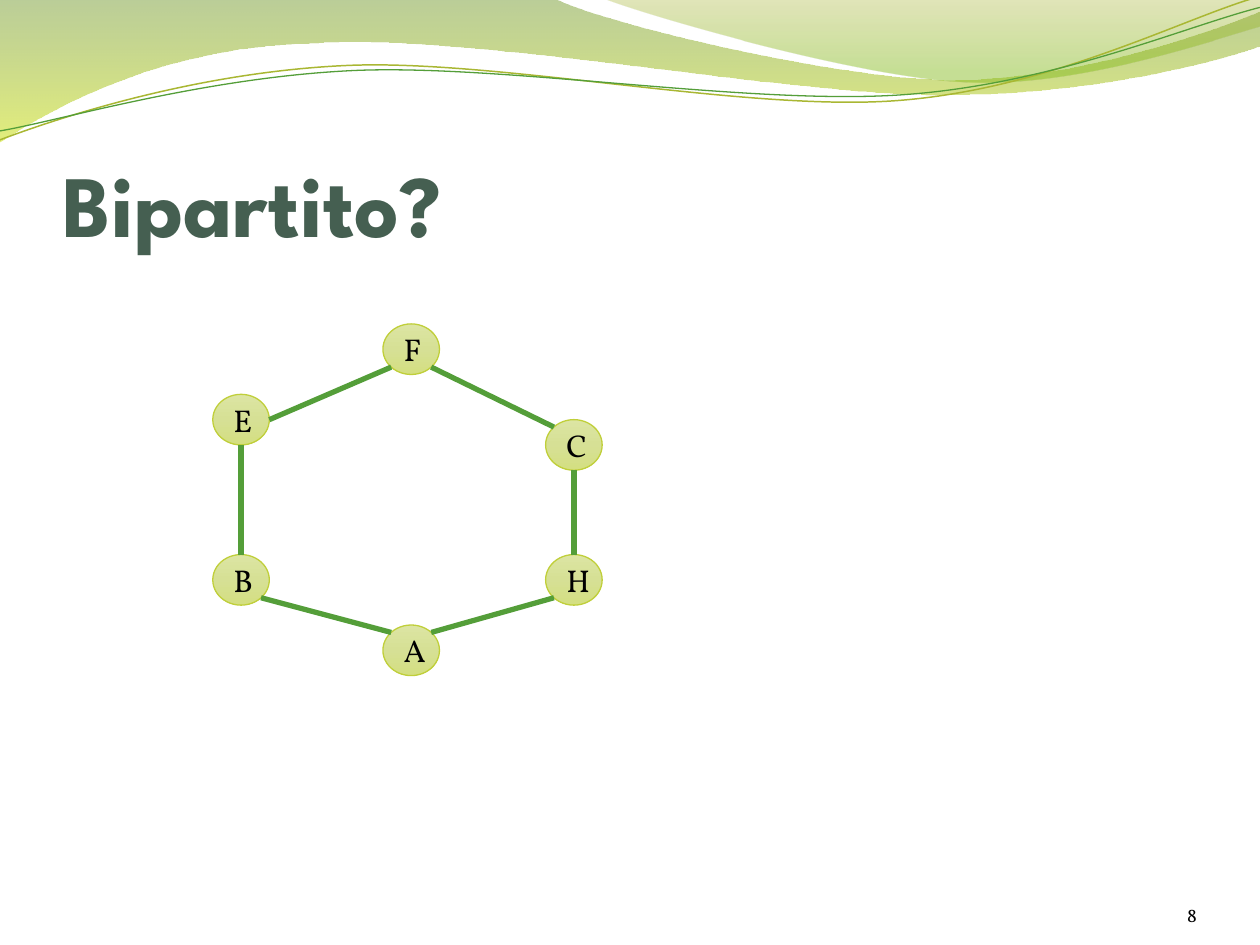
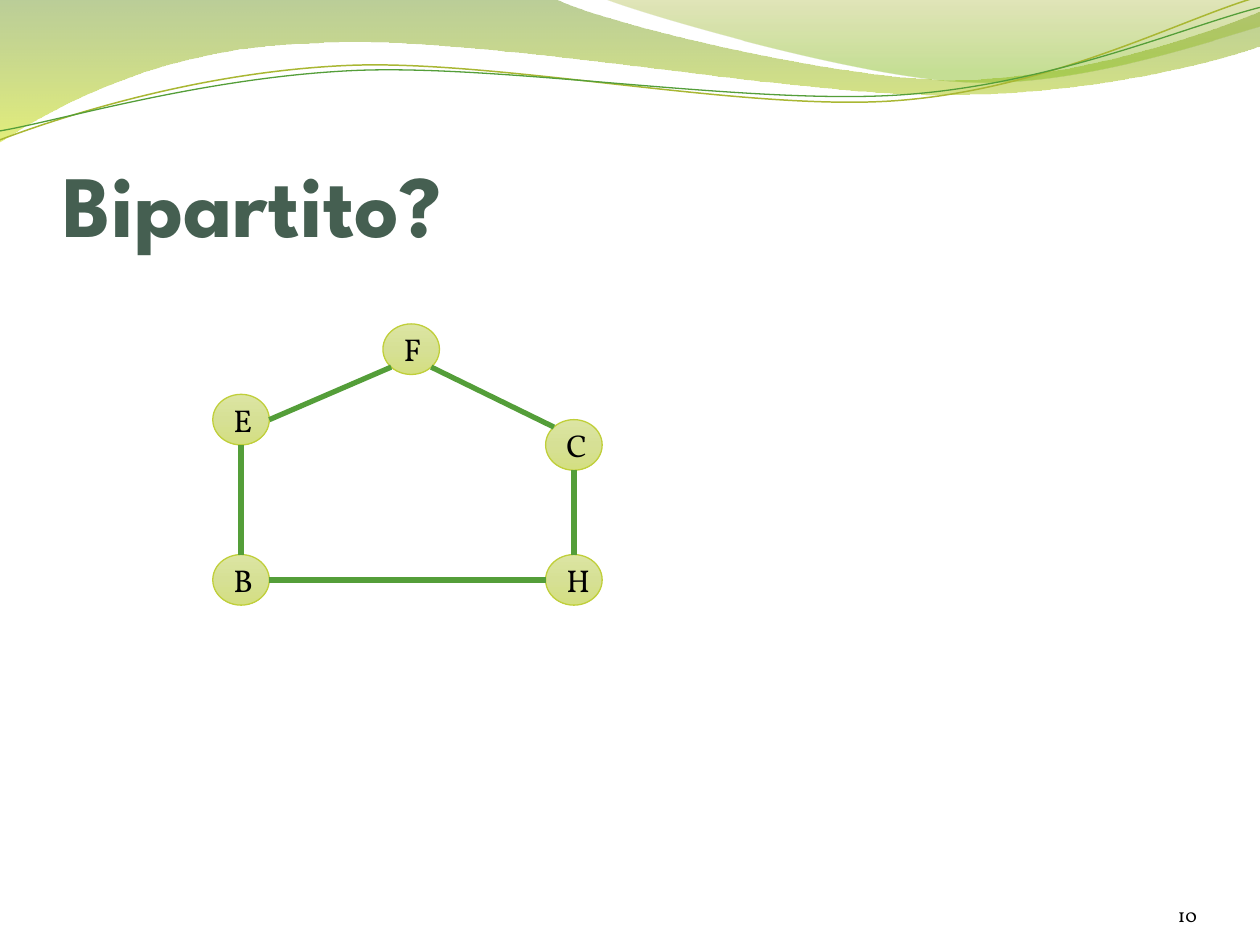
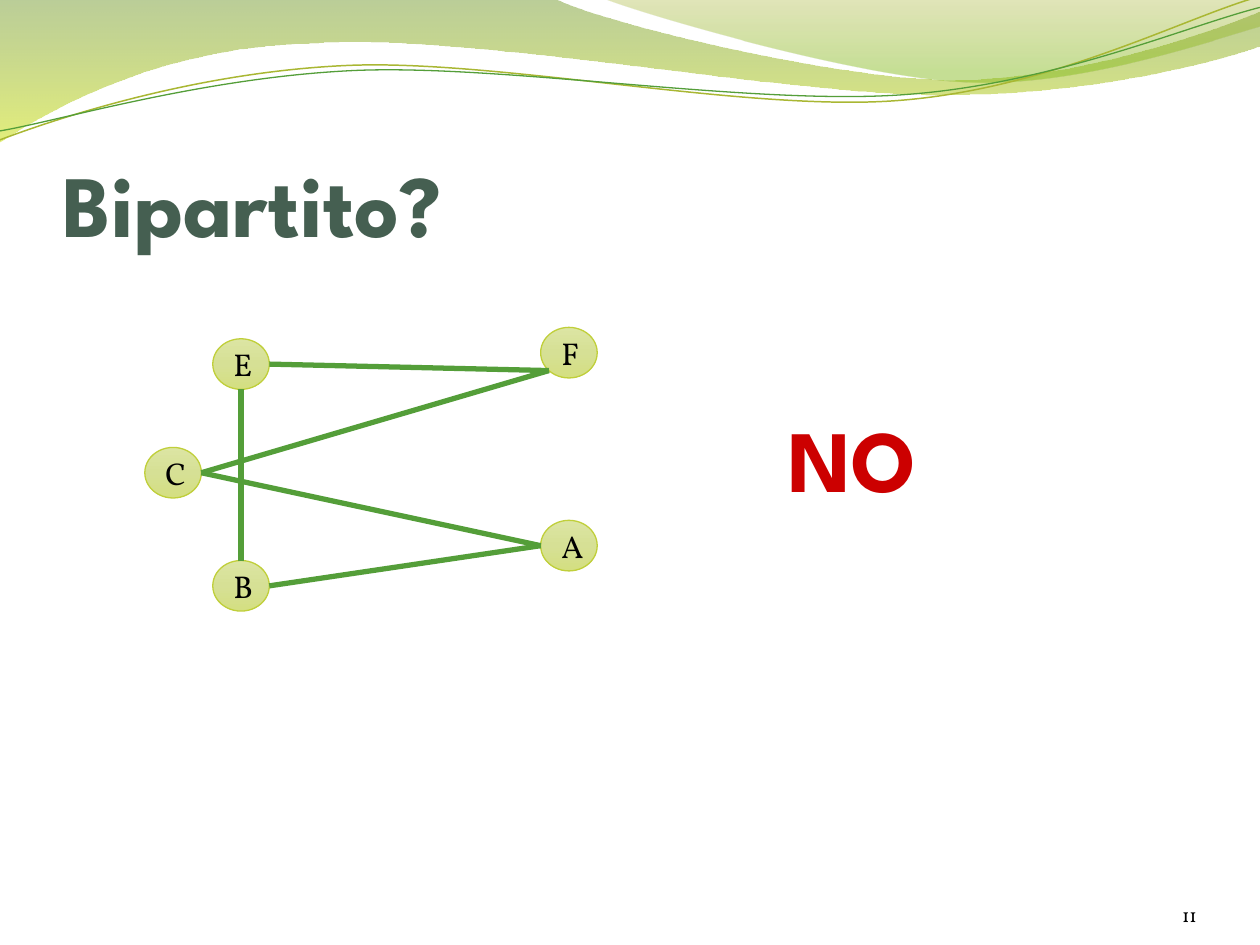
from dataclasses import dataclass
from enum import IntEnum
from math import cos, radians, sin
from typing import NamedTuple

from lxml.etree import SubElement
from pptx import Presentation
from pptx.dml.color import RGBColor
from pptx.enum.shapes import MSO_CONNECTOR as Connector, MSO_SHAPE as Preset
from pptx.enum.text import MSO_ANCHOR as Anchor, PP_ALIGN as Align
from pptx.oxml.ns import qn
from pptx.util import Cm, Pt


class Stop(NamedTuple):
    position: int  # percent
    color: str
    opacity: int = 100


@dataclass(frozen=True)
class Theme:
    title_font: str = "League Spartan"
    body_font: str = "Vollkorn"
    title_size: int = 50
    node_size: int = 18
    number_size: int = 11
    title: str = "455F51"
    verdict: str = "CC0000"
    ink: str = "000000"
    edge: str = "549E39"
    node_line: str = "C0CF3A"
    olive: str = "A9B733"
    node_fill: tuple[Stop, ...] = (Stop(0, "DCE5A3"), Stop(50, "D6E095"), Stop(100, "D4DF81"))
    wide_wave: tuple[Stop, ...] = (Stop(0, "69921C", 45), Stop(100, "CCE10F", 55))
    right_wave: tuple[Stop, ...] = (Stop(0, "9BAA1A", 30), Stop(80, "81BA16", 45))


THEME = Theme()
NODE_WIDTH, NODE_HEIGHT = 1.14, 1.02


class Site(IntEnum):
    """Connection sites of an ellipse, counter-clockwise from the top."""
    TOP = 0
    TOP_LEFT = 1
    LEFT = 2
    BOTTOM_LEFT = 3
    BOTTOM = 4
    BOTTOM_RIGHT = 5
    RIGHT = 6
    TOP_RIGHT = 7


class Box(NamedTuple):
    left: float
    top: float
    width: float
    height: float

    def lengths(self) -> list[Cm]:
        return [Cm(value) for value in self]


class Node(NamedTuple):
    letter: str
    left: float
    top: float


class Edge(NamedTuple):
    start: str
    start_site: Site
    end: str
    end_site: Site


@dataclass(frozen=True)
class Wave:
    """Segments hold one point for a line, three for a cubic curve."""
    start: tuple[float, float]
    segments: tuple
    fill: tuple[Stop, ...] = ()
    line: str = ""
    line_width: float = 0


@dataclass(frozen=True)
class GraphSlide:
    number: int
    nodes: tuple[Node, ...]
    edges: tuple[Edge, ...]
    verdict: str = ""


TITLE_BOX = Box(1.27, 1.96, 22.86, 3.18)
VERDICT_BOX = Box(15.9, 7.11, 8.64, 3.18)
NUMBER_BOX = Box(22.02, 17.65, 2.11, 1.02)

# Header waves
WAVES = (
    Wave((0, 0), (
        ((11.18, -0.03),),
        ((12.07, 0.43), (16.84, 1.6), (19.25, 1.6)),
        ((21.67, 1.6), (24.33, 0.66), (25.4, 0.23)),
        ((25.43, 0.91),),
        ((24.97, 1.12), (22.07, 1.93), (18.95, 1.91)),
        ((15.8, 1.91), (9.68, 0.71), (6.53, 0.86)),
        ((3.28, 0.91), (1.17, 2.11), (-0.03, 2.87)),
    ), fill=THEME.wide_wave),
    Wave((12.17, -0.03), (
        ((12.93, 0.28), (17.32, 1.57), (19.51, 1.65)),
        ((21.72, 1.75), (24.41, 0.81), (25.4, 0.53)),
        ((25.4, 0),),
    ), fill=THEME.right_wave),
    Wave((0, 2.82), (
        ((1.22, 2.36), (3.99, 1.45), (7.01, 1.32)),
        ((10.03, 1.19), (15.04, 2.26), (18.08, 2.03)),
        ((21.16, 1.8), (23.83, 0.38), (25.32, -0.05)),
    ), line=THEME.olive, line_width=0.85),
    Wave((0, 2.64), (
        ((1.19, 2.44), (4.14, 1.55), (7.19, 1.42)),
        ((10.21, 1.3), (15.16, 2.13), (18.21, 1.91)),
        ((21.23, 1.7), (23.9, 0.53), (25.4, 0.15)),
    ), line=THEME.edge, line_width=0.75),
)

# Graphs
PENTAGON_NODES = (
    Node("H", 11, 11.18),
    Node("F", 7.72, 6.53),
    Node("B", 4.29, 11.18),
    Node("E", 4.29, 7.95),
    Node("C", 11, 8.46),
)
EB_EDGE = Edge("E", Site.BOTTOM, "B", Site.TOP)
UPPER_EDGES = (
    Edge("C", Site.TOP_LEFT, "F", Site.BOTTOM_RIGHT),
    Edge("H", Site.TOP, "C", Site.BOTTOM),
    Edge("F", Site.BOTTOM_LEFT, "E", Site.RIGHT),
    EB_EDGE,
)
SLIDES = (
    GraphSlide(8, (*PENTAGON_NODES, Node("A", 7.72, 12.6)), (
        *UPPER_EDGES,
        Edge("A", Site.TOP_RIGHT, "H", Site.BOTTOM_LEFT),
        Edge("B", Site.BOTTOM_RIGHT, "A", Site.TOP_LEFT),
    )),
    GraphSlide(10, PENTAGON_NODES, (
        *UPPER_EDGES,
        Edge("B", Site.RIGHT, "H", Site.LEFT),
    )),
    GraphSlide(11, (
        Node("A", 10.9, 10.49),
        Node("F", 10.9, 6.6),
        Node("B", 4.29, 11.3),
        Node("E", 4.29, 6.83),
        Node("C", 2.92, 9.02),
    ), (
        Edge("C", Site.RIGHT, "F", Site.BOTTOM_LEFT),
        Edge("A", Site.LEFT, "C", Site.RIGHT),
        Edge("F", Site.BOTTOM_LEFT, "E", Site.RIGHT),
        EB_EDGE,
        Edge("B", Site.RIGHT, "A", Site.LEFT),
    ), verdict="NO"),
)


# Drawing helpers
def rgb(color: str) -> RGBColor:
    return RGBColor.from_string(color)


def fill_downwards(shape, stops: tuple[Stop, ...]) -> None:
    shape.fill.gradient()
    shape.fill.gradient_angle = 270
    stop_list = shape.element.spPr.find(qn("a:gradFill")).find(qn("a:gsLst"))
    stop_list.clear()
    for stop in stops:
        entry = SubElement(stop_list, qn("a:gs"), pos=str(stop.position * 1000))
        color = SubElement(entry, qn("a:srgbClr"), val=stop.color)
        if stop.opacity < 100:
            SubElement(color, qn("a:alpha"), val=str(stop.opacity * 1000))


def set_line(shape, color: str, width: float) -> None:
    shape.line.color.rgb = rgb(color)
    shape.line.width = Pt(width)


def write(paragraph, text: str, font: str, size: int, color: str, bold: bool = False) -> None:
    run = paragraph.add_run()
    run.text = text
    run.font.name = font
    run.font.size = Pt(size)
    run.font.bold = bold
    run.font.color.rgb = rgb(color)


def add_text_frame(slide, box: Box, top_inset: float = 0):
    frame = slide.shapes.add_textbox(*box.lengths()).text_frame
    frame.word_wrap = True
    frame.vertical_anchor = Anchor.BOTTOM
    frame.margin_left = frame.margin_right = frame.margin_bottom = 0
    frame.margin_top = Cm(top_inset)
    return frame


def add_heading(slide, box: Box, text: str, color: str) -> None:
    paragraph = add_text_frame(slide, box, top_inset=0.13).paragraphs[0]
    write(paragraph, text, THEME.title_font, THEME.title_size, color, bold=True)


def add_number(slide, number: int) -> None:
    paragraph = add_text_frame(slide, NUMBER_BOX).paragraphs[0]
    paragraph.alignment = Align.RIGHT
    write(paragraph, str(number), THEME.body_font, THEME.number_size, THEME.ink)


def curve_segments(freeform, segments: tuple) -> None:
    """Merge the three line steps of every curved segment into one cubic."""
    outline = next(freeform.element.iter(qn("a:path")))
    steps = iter(outline.findall(qn("a:lnTo")))
    for segment in segments:
        group = [next(steps) for _ in segment]
        if len(group) == 3:
            cubic = SubElement(outline, qn("a:cubicBezTo"))
            group[0].addprevious(cubic)
            for step in group:
                cubic.append(step[0])
                outline.remove(step)


def add_wave(slide, wave: Wave):
    builder = slide.shapes.build_freeform(*(Cm(value) for value in wave.start))
    points = [(Cm(x), Cm(y)) for segment in wave.segments for x, y in segment]
    builder.add_line_segments(points, close=bool(wave.fill))
    freeform = builder.convert_to_shape()
    curve_segments(freeform, wave.segments)
    freeform.shadow.inherit = False
    if wave.fill:
        fill_downwards(freeform, wave.fill)
        freeform.line.fill.background()
    else:
        freeform.fill.background()
        set_line(freeform, wave.line, wave.line_width)
    return freeform


def move_waves_to_layout(slide, layout) -> None:
    for placeholder in list(layout.placeholders):
        layout.shapes.element.remove(placeholder.element)
    for freeform in [add_wave(slide, wave) for wave in WAVES]:
        layout.shapes.element.append(freeform.element)


def add_node(slide, node: Node):
    box = Box(node.left, node.top, NODE_WIDTH, NODE_HEIGHT)
    circle = slide.shapes.add_shape(Preset.OVAL, *box.lengths())
    circle.shadow.inherit = False
    fill_downwards(circle, THEME.node_fill)
    set_line(circle, THEME.node_line, 0.75)
    frame = circle.text_frame
    frame.word_wrap = True
    frame.vertical_anchor = Anchor.MIDDLE
    paragraph = frame.paragraphs[0]
    paragraph.alignment = Align.CENTER
    write(paragraph, node.letter, THEME.body_font, THEME.node_size, THEME.ink)
    return circle


def site_point(circle, site: Site) -> tuple[int, int]:
    angle = radians(90 + 45 * site)
    return (round(circle.left + circle.width / 2 * (1 + cos(angle))),
            round(circle.top + circle.height / 2 * (1 - sin(angle))))


def add_edge(slide, edge: Edge, circles: dict) -> None:
    start, end = circles[edge.start], circles[edge.end]
    link = slide.shapes.add_connector(Connector.STRAIGHT,
                                      *site_point(start, edge.start_site),
                                      *site_point(end, edge.end_site))
    set_line(link, THEME.edge, 3)
    SubElement(link.element.spPr, qn("a:effectLst"))
    # Ellipses have eight sites, so the joins are written directly
    joins = next(link.element.iter(qn("p:cNvCxnSpPr")))
    for tag, circle, site in (("a:stCxn", start, edge.start_site),
                              ("a:endCxn", end, edge.end_site)):
        SubElement(joins, qn(tag), id=str(circle.shape_id), idx=str(int(site)))


def add_graph_slide(slide, content: GraphSlide) -> None:
    add_heading(slide, TITLE_BOX, "Bipartito?", THEME.title)
    add_number(slide, content.number)
    circles = {node.letter: add_node(slide, node) for node in content.nodes}
    for edge in content.edges:
        add_edge(slide, edge, circles)
    if content.verdict:
        add_heading(slide, VERDICT_BOX, content.verdict, THEME.verdict)


def main() -> None:
    deck = Presentation()
    deck.slide_width, deck.slide_height = Cm(25.4), Cm(19.05)
    blank = deck.slide_layouts[6]
    for index, content in enumerate(SLIDES):
        slide = deck.slides.add_slide(blank)
        if index == 0:
            move_waves_to_layout(slide, blank)
        add_graph_slide(slide, content)
    deck.save("out.pptx")


if __name__ == "__main__":
    main()
